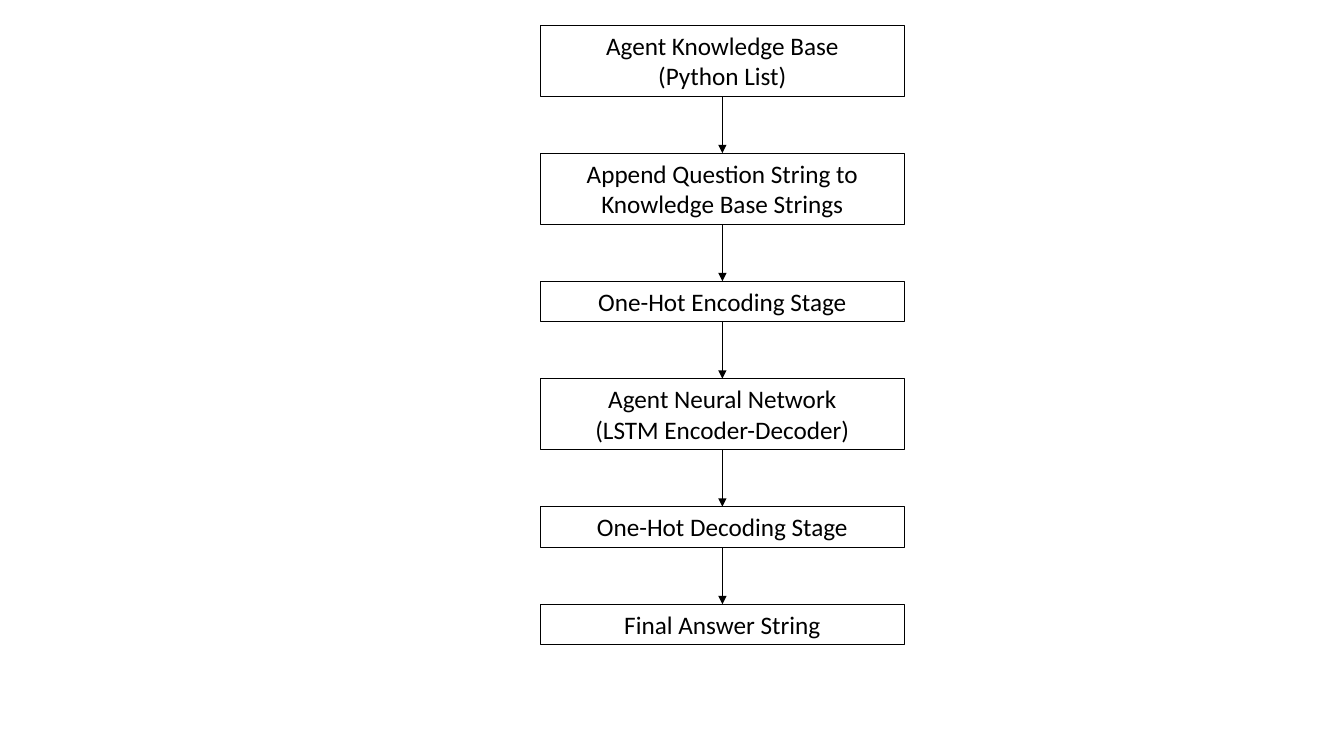
from lxml.etree import SubElement
from pptx import Presentation
from pptx.dml.color import RGBColor
from pptx.enum.shapes import MSO_CONNECTOR
from pptx.enum.text import MSO_AUTO_SIZE, PP_ALIGN
from pptx.oxml.ns import qn
from pptx.util import Pt

COLORS = {"ink": "000000", "page": "FFFFFF"}
FONT = "Calibri"
LEFT, TOP, WIDTH = 386, 18, 260
ONE_LINE, TWO_LINES, GAP = 29.08, 50.9, 40.55
STAGES = [
    ("Agent Knowledge Base\n(Python List)", TWO_LINES),
    ("Append Question String to Knowledge Base Strings", TWO_LINES),
    ("One-Hot Encoding Stage", ONE_LINE),
    ("Agent Neural Network\n(LSTM Encoder-Decoder)", TWO_LINES),
    ("One-Hot Decoding Stage", ONE_LINE),
    ("Final Answer String", ONE_LINE),
]


def color(name):
    return RGBColor.from_string(COLORS[name])


def set_line(line, width):
    line.color.rgb = color("ink")
    line.width = Pt(width)


def add_stage(s, text, top, height):
    sp = s.shapes.add_textbox(Pt(LEFT), Pt(top), Pt(WIDTH), Pt(height))
    set_line(sp.line, 0.75)
    tf = sp.text_frame
    tf.word_wrap = True
    tf.auto_size = MSO_AUTO_SIZE.SHAPE_TO_FIT_TEXT
    tf.text = text
    for p in tf.paragraphs:
        p.alignment = PP_ALIGN.CENTER
        for r in p.runs:
            r.font.name = FONT
            r.font.size = Pt(18)
            r.font.color.rgb = color("ink")


def add_arrow(s, top):
    x = Pt(LEFT + WIDTH / 2)
    sp = s.shapes.add_connector(MSO_CONNECTOR.STRAIGHT, x, Pt(top), x, Pt(top + GAP))
    set_line(sp.line, 0.5)
    spPr = sp._element.spPr
    SubElement(spPr.find(qn("a:ln")), qn("a:tailEnd"), type="triangle")
    SubElement(spPr, qn("a:effectLst"))


def main():
    prs = Presentation()
    prs.slide_width, prs.slide_height = Pt(960), Pt(540)
    s = prs.slides.add_slide(prs.slide_layouts[6])
    s.background.fill.solid()
    s.background.fill.fore_color.rgb = color("page")
    top = TOP
    for i, (text, height) in enumerate(STAGES):
        if i:
            add_arrow(s, top - GAP)
        add_stage(s, text, top, height)
        top += height + GAP
    prs.save("out.pptx")


main()
